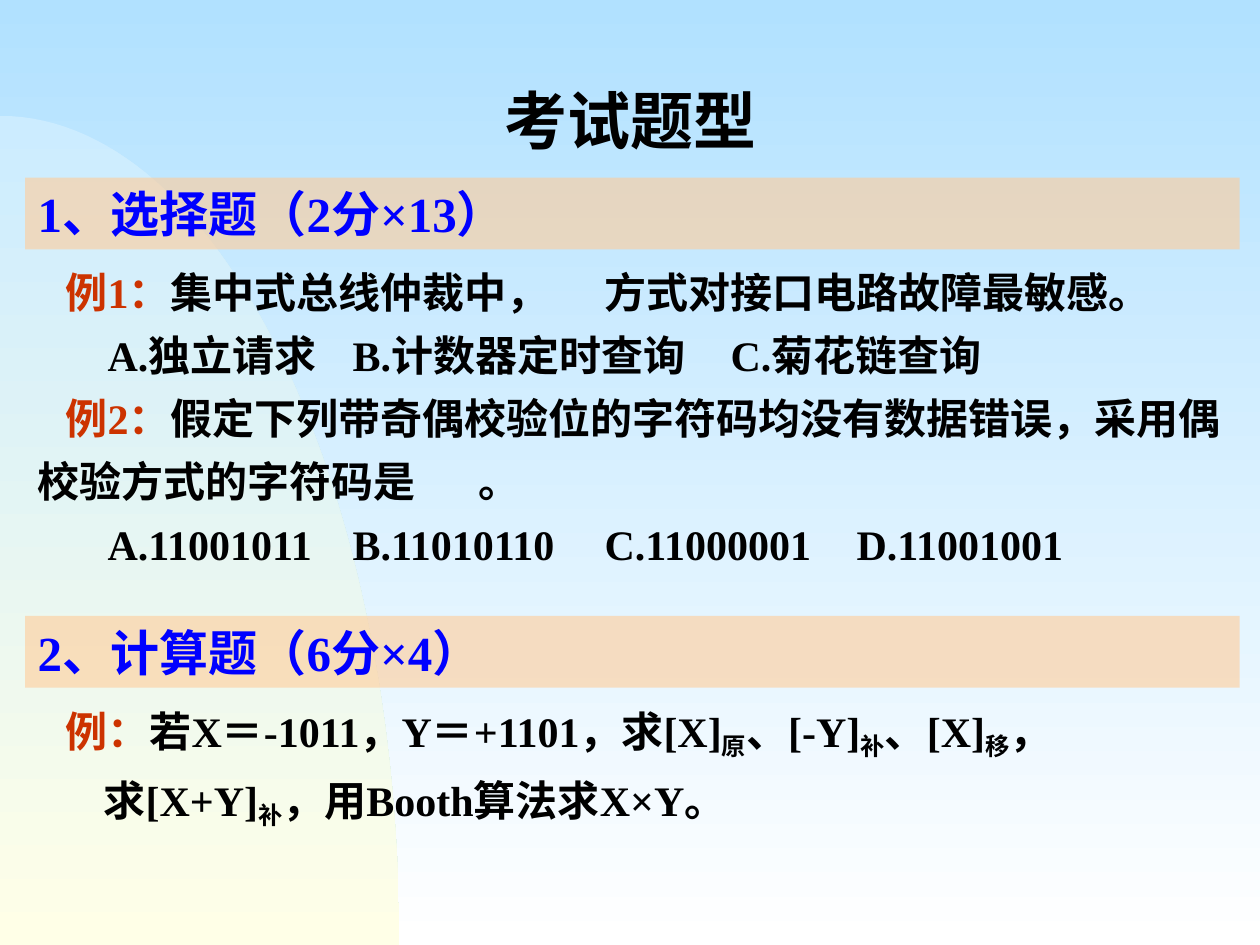
import pptx
import pptx.dml.color
import pptx.enum.shapes
import pptx.enum.text
import pptx.oxml.ns
import pptx.util
from lxml import etree

Pt = pptx.util.Pt
qn = pptx.oxml.ns.qn
ALIGN = pptx.enum.text.PP_ALIGN

BLACK, RED, BLUE, BAND = "000000", "CC3300", "0000FF", "FFCC99"


def rgb(value):
    return pptx.dml.color.RGBColor.from_string(value)


class Deck:
    """Holds the text style and the current slide."""
    font = {"name": "Times New Roman", "bold": True}
    left, width = 14.4, 694

    def __init__(self, width, height):
        self.prs = pptx.Presentation()
        self.prs.slide_width, self.prs.slide_height = Pt(width), Pt(height)
        self.s = self.prs.slides.add_slide(self.prs.slide_layouts[6])

    def gradient(self, fill, top, bottom):
        fill.gradient()
        fill.gradient_angle = 270
        for stop, color in zip(fill.gradient_stops, (top, bottom)):
            stop.color.rgb = rgb(color)

    def frame(self, sp):
        tf = sp.text_frame
        anchor = pptx.enum.text.MSO_ANCHOR.TOP
        for key, value in {"word_wrap": True, "vertical_anchor": anchor}.items():
            setattr(tf, key, value)
        return tf

    def paragraph(self, p, runs, size, indent=0, tabs=(), **fmt):
        for key, value in fmt.items():
            setattr(p, key, value)
        pPr = p._p.get_or_add_pPr()
        pPr.set("marL", "0")
        pPr.set("indent", str(Pt(indent)))
        if tabs:
            stops = etree.SubElement(pPr, qn("a:tabLst"))
            for pos in tabs:
                etree.SubElement(stops, qn("a:tab"), pos=str(Pt(pos)), algn="l")
        for text, color, *style in runs:
            r = p.add_run()
            r.text = text
            look = {**self.font, "size": Pt(size), "underline": "blank" in style}
            for key, value in look.items():
                setattr(r.font, key, value)
            r.font.color.rgb = rgb(color)
            if "sub" in style:
                r._r.get_or_add_rPr().set("baseline", "-20000")

    def hill(self, start, pull1, pull2, end):
        """Filled area under a cubic curve."""
        steps = 60
        points = []
        for i in range(1, steps + 1):
            t = i / steps
            weights = ((1 - t) ** 3, 3 * t * (1 - t) ** 2, 3 * t * t * (1 - t), t ** 3)
            points.append(tuple(
                sum(w * c for w, c in zip(weights, axis))
                for axis in zip(start, pull1, pull2, end)))
        points.append((start[0], end[1]))
        fb = self.s.shapes.build_freeform(Pt(start[0]), Pt(start[1]))
        fb.add_line_segments([(Pt(x), Pt(y)) for x, y in points], close=True)
        sp = fb.convert_to_shape()
        sp.shadow.inherit = False
        sp.line.fill.background()
        self.gradient(sp.fill, "CCECFF", "FFFFE7")

    def title(self, text, x, y, w, h):
        sp = self.s.shapes.add_textbox(Pt(x), Pt(y), Pt(w), Pt(h))
        self.paragraph(self.frame(sp).paragraphs[0], [(text, BLACK)], 36,
                       alignment=ALIGN.CENTER)

    def heading(self, text, y):
        rect = pptx.enum.shapes.MSO_SHAPE.RECTANGLE
        sp = self.s.shapes.add_shape(rect, Pt(self.left), Pt(y), Pt(self.width), Pt(41))
        sp.shadow.inherit = False
        sp.line.fill.background()
        sp.fill.solid()
        sp.fill.fore_color.rgb = rgb(BAND)
        color = sp._element.spPr.find(qn("a:solidFill"))[0]
        etree.SubElement(color, qn("a:alpha"), val="60000")
        self.paragraph(self.frame(sp).paragraphs[0], [(text, BLUE)], 28,
                       alignment=ALIGN.LEFT)

    def body(self, y, h, paragraphs):
        sp = self.s.shapes.add_textbox(Pt(self.left), Pt(y), Pt(self.width), Pt(h))
        tf = self.frame(sp)
        for i, (indent, tabs, runs) in enumerate(paragraphs):
            p = tf.add_paragraph() if i else tf.paragraphs[0]
            self.paragraph(p, runs, 24, indent, tabs, line_spacing=1.25)


def main():
    deck = Deck(720, 540)

    # Background
    deck.gradient(deck.s.background.fill, "B1E1FF", "FFFFFF")
    deck.hill((0, 66.2), (126, 66.2), (228.2, 278.6), (228.2, 540))

    deck.title("考试题型", 66, 43.2, 588, 50.4)

    # Multiple choice
    deck.heading("1、选择题（2分×13）", 101.5)
    deck.body(141.8, 187, [
        (16, [319.5], [("例1：", RED), ("集中式总线仲裁中，", BLACK),
                       ("\t", BLACK, "blank"),
                       ("方式对接口电路故障最敏感。", BLACK)]),
        (40, [187.5, 406], [("A.独立请求\tB.计数器定时查询\tC.菊花链查询", BLACK)]),
        (16, [283], [("例2：", RED),
                     ("假定下列带奇偶校验位的字符码均没有数据错误，采用"
                      "偶校验方式的字符码是", BLACK),
                     ("\t", BLACK, "blank"), ("。", BLACK)]),
        (40, [169, 296, 426.5],
         [("A.11001011\tB.11010110\tC.11000001\tD.11001001", BLACK)]),
    ])

    # Calculation
    deck.body(391.7, 86.4, [
        (16, [], [("例：", RED), ("若X＝-1011，Y＝+1101，求[X]", BLACK),
                  ("原", BLACK, "sub"), ("、[-Y]", BLACK),
                  ("补", BLACK, "sub"), ("、[X]", BLACK),
                  ("移", BLACK, "sub"), ("，", BLACK)]),
        (37.7, [], [("求[X+Y]", BLACK), ("补", BLACK, "sub"),
                    ("，用Booth算法求X×Y。", BLACK)]),
    ])
    deck.heading("2、计算题（6分×4）", 352)

    deck.prs.save("out.pptx")


if __name__ == "__main__":
    main()
